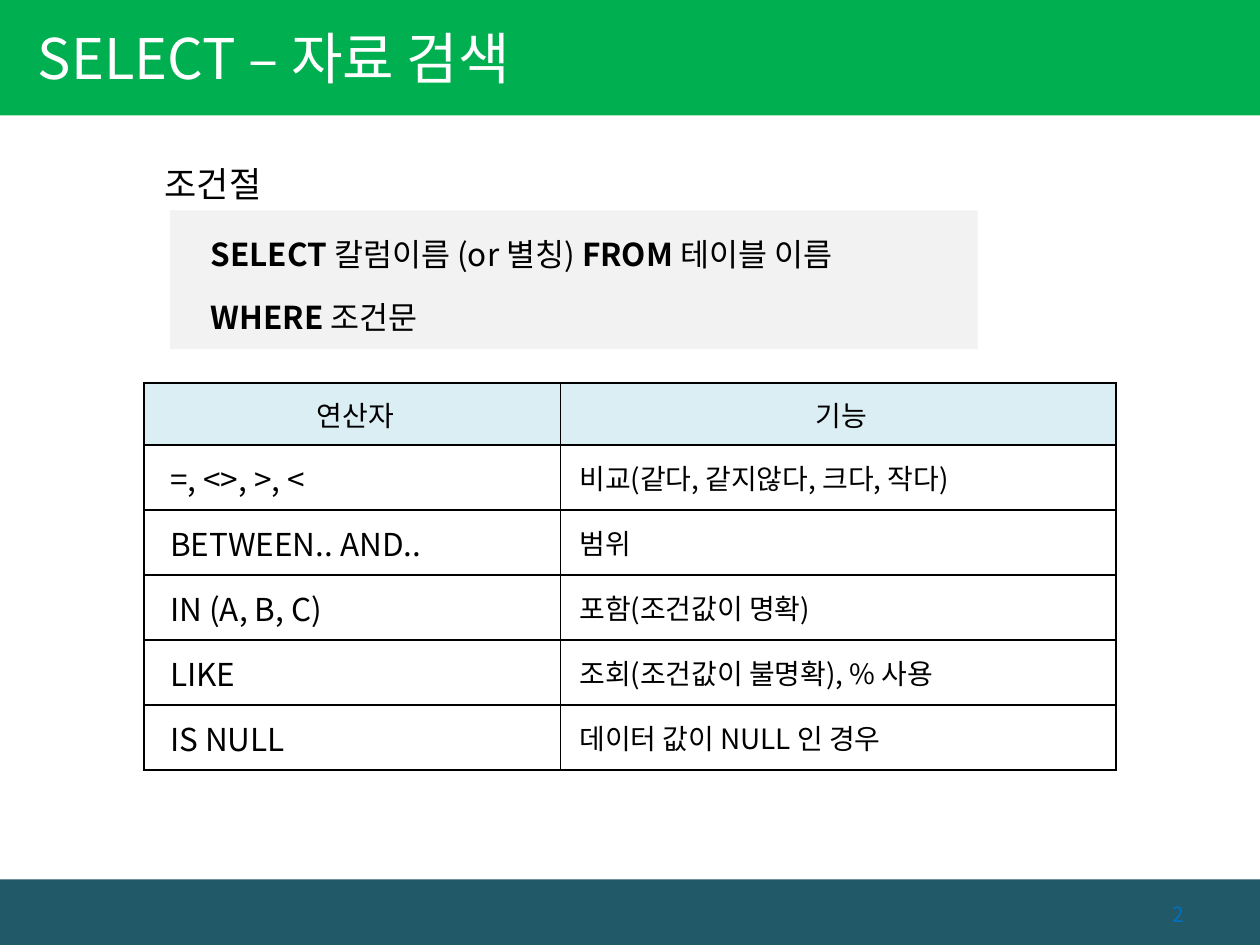
import dataclasses

import pptx
import pptx.dml.color
import pptx.enum.shapes
import pptx.enum.text
import pptx.oxml
import pptx.oxml.ns
import pptx.util

Cm = pptx.util.Cm
Pt = pptx.util.Pt
qn = pptx.oxml.ns.qn
PP_ALIGN = pptx.enum.text.PP_ALIGN
MSO_ANCHOR = pptx.enum.text.MSO_ANCHOR

FONT = "Noto Sans CJK KR"
BLACK, WHITE, BLUE = "000000", "FFFFFF", "0070C0"
HEADER_FILL = "DBEEF4"


@dataclasses.dataclass(frozen=True)
class Box:
    """Position and size in centimetres."""
    left: float
    top: float
    width: float
    height: float

    def lengths(self) -> tuple:
        return tuple(Cm(v) for v in dataclasses.astuple(self))


@dataclasses.dataclass(frozen=True)
class Block:
    box: Box
    fill: str


@dataclasses.dataclass(frozen=True)
class Operator:
    symbol: str
    meaning: str


FOOTER_BAND = Block(Box(0, 17.73, 25.4, 1.32), "215968")
TITLE_BAND = Block(Box(0, 0, 25.4, 2.33), "00B050")
SYNTAX_BLOCK = Block(Box(3.43, 4.24, 16.28, 2.8), "F2F2F2")
SYNTAX = [
    [("SELECT ", True), ("칼럼이름 (or 별칭) ", False),
     ("FROM ", True), ("테이블 이름", False)],
    [("WHERE ", True), ("조건문", False)],
]
OPERATORS = [
    Operator("=, <>, >, <", "비교(같다, 같지않다, 크다, 작다)"),
    Operator("BETWEEN.. AND..", "범위"),
    Operator("IN (A, B, C)", "포함(조건값이 명확)"),
    Operator("LIKE", "조회(조건값이 불명확), % 사용"),
    Operator("IS NULL", "데이터 값이 NULL 인 경우"),
]


def rgb(color: str) -> pptx.dml.color.RGBColor:
    return pptx.dml.color.RGBColor.from_string(color)


def format_paragraph(p, size: float, color: str = BLACK, align=PP_ALIGN.LEFT) -> None:
    p.alignment = align
    p.font.name = FONT
    p.font.size = Pt(size)
    p.font.color.rgb = rgb(color)


def add_block(s, block: Block):
    rectangle = pptx.enum.shapes.MSO_SHAPE.RECTANGLE
    sp = s.shapes.add_shape(rectangle, *block.box.lengths())
    sp.shadow.inherit = False
    sp.fill.solid()
    sp.fill.fore_color.rgb = rgb(block.fill)
    sp.line.fill.background()
    return sp


def add_label(s, box: Box, text: str, size: float, color: str = BLACK,
              align=PP_ALIGN.LEFT, spacing: float = 1.0) -> None:
    tf = s.shapes.add_textbox(*box.lengths()).text_frame
    tf.word_wrap = True
    p = tf.paragraphs[0]
    p.text = text
    p.line_spacing = spacing
    format_paragraph(p, size, color, align)


def format_title(title, text: str) -> None:
    title.left, title.top, title.width, title.height = Box(0, -0.05, 15.9, 2.39).lengths()
    tf = title.text_frame
    tf.text = text
    tf.vertical_anchor = MSO_ANCHOR.MIDDLE
    tf.margin_left = Cm(0.76)
    format_paragraph(tf.paragraphs[0], 32, WHITE)


def add_syntax(s) -> None:
    tf = add_block(s, SYNTAX_BLOCK).text_frame
    tf.word_wrap = True
    tf.vertical_anchor = MSO_ANCHOR.TOP
    tf.margin_left = Cm(0.82)
    for i, line in enumerate(SYNTAX):
        p = tf.add_paragraph() if i else tf.paragraphs[0]
        p.line_spacing = 1.5
        p.space_before = Pt(3.6 * i)
        format_paragraph(p, 18)
        for text, bold in line:
            r = p.add_run()
            r.text = text
            r.font.bold = bold


def add_borders(cell) -> None:
    """Draw 1 pt black lines on all four sides of the cell."""
    props = cell._tc.get_or_add_tcPr()
    for i, side in enumerate(("lnL", "lnR", "lnT", "lnB")):
        props.insert(i, pptx.oxml.parse_xml(
            f'<a:{side} {pptx.oxml.ns.nsdecls("a")} w="12700"><a:solidFill>'
            f'<a:srgbClr val="{BLACK}"/></a:solidFill></a:{side}>'))


def fill_cell(cell, text: str, size: float, margin: float, header: bool) -> None:
    cell.text = text
    cell.vertical_anchor = MSO_ANCHOR.MIDDLE
    cell.margin_left = Cm(margin)
    if header:
        cell.fill.solid()
        cell.fill.fore_color.rgb = rgb(HEADER_FILL)
    else:
        cell.fill.background()
    format_paragraph(cell.text_frame.paragraphs[0], size,
                     align=PP_ALIGN.CENTER if header else PP_ALIGN.LEFT)
    add_borders(cell)


def add_operator_table(s) -> None:
    rows = [Operator("연산자", "기능"), *OPERATORS]
    box = Box(2.9, 7.72, 19.6, 7.8)
    table = s.shapes.add_table(len(rows), 2, *box.lengths()).table
    table.horz_banding = False
    table.first_row = False
    for column, width in zip(table.columns, (8.4, 11.2)):
        column.width = Cm(width)
    for i, row in enumerate(rows):
        header = i == 0
        table.rows[i].height = Cm(1.25 if header else 1.31)
        size, margin = (16, 0.38) if header else (18, 0.53)
        fill_cell(table.cell(i, 0), row.symbol, size, margin, header)
        fill_cell(table.cell(i, 1), row.meaning, 16, 0.38, header)


def set_east_asian_font(s) -> None:
    """Use for Korean letters the font already set for Latin ones."""
    for latin in list(s.element.iter(qn("a:latin"))):
        latin.addnext(pptx.oxml.parse_xml(
            f'<a:ea {pptx.oxml.ns.nsdecls("a")} typeface="{FONT}"/>'))


def main() -> None:
    prs = pptx.Presentation()
    prs.slide_width, prs.slide_height = Cm(25.4), Cm(19.05)
    s = prs.slides.add_slide(prs.slide_layouts[5])
    add_block(s, FOOTER_BAND)
    title_band = add_block(s, TITLE_BAND)
    title = s.shapes.title
    format_title(title, "SELECT – 자료 검색")
    title_band.element.addnext(title.element)
    add_syntax(s)
    add_label(s, Box(3.07, 2.72, 2.77, 1.4), "조건절", 20, spacing=1.5)
    add_operator_table(s)
    add_label(s, Box(18.2, 18.05, 5.93, 0.95), "2", 12, BLUE, PP_ALIGN.RIGHT)
    set_east_asian_font(s)
    prs.save("out.pptx")


if __name__ == "__main__":
    main()
